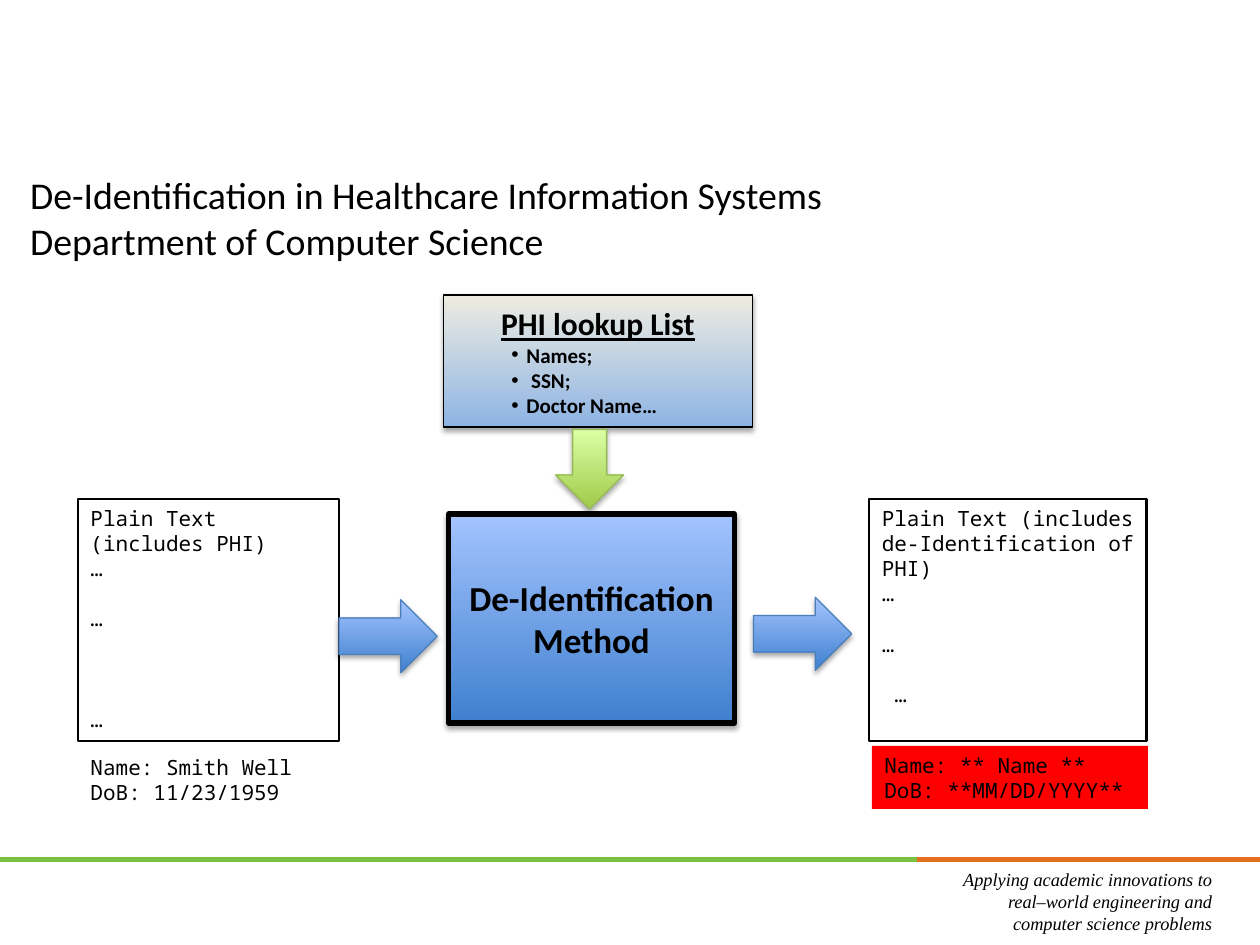
from lxml.etree import SubElement
from pptx import Presentation
from pptx.dml.color import RGBColor
from pptx.enum.shapes import MSO_CONNECTOR, MSO_SHAPE
from pptx.enum.text import MSO_ANCHOR, PP_ALIGN
from pptx.oxml.ns import qn
from pptx.util import Inches, Pt

MONO, SANS, SERIF = "Noto Sans Mono", "Calibri", "Times New Roman"
BLACK = "000000"
BLUE = ("A4C4FF", "3F80CE")  # gradients run from top to bottom
GREEN = ("DAFFA5", "A0CA4A")
PALE = ("EEECE1", "8EB4E3")
MONO_LINE = 14.4  # height of one 12 pt line of the mono font, in points

TITLE = "De-Identification in Healthcare Information Systems\vDepartment of Computer Science"
TAGLINE = ("Applying academic innovations to real–world engineering "
           "and computer science problems")
LOOKUP_HEAD = "PHI lookup List"
LOOKUP_ITEMS = ["Names;", " SSN;", "Doctor Name…"]
METHOD = ["De-Identification", "Method"]

# box, then (text, empty lines above it)
DOCUMENTS = [
    ((0.62, 3.96, 2.07, 1.92),
     [("Plain Text (includes PHI)", 0), ("…", 0), ("…", 1), ("…", 3)]),
    ((6.9, 3.96, 2.2, 1.92),
     [("Plain Text (includes de-Identification of PHI)", 0),
      ("…", 0), ("…", 1), (" …", 1)]),
]
# box, fill, lines
RECORDS = [
    ((0.62, 5.94, 2.07, 0.5), None, ["Name: Smith Well", "DoB: 11/23/1959"]),
    ((6.92, 5.92, 2.19, 0.5), "FF0000", ["Name: ** Name **", "DoB: **MM/DD/YYYY**"]),
]
# shape, box, gradient, outline
ARROWS = [
    (MSO_SHAPE.DOWN_ARROW, (4.41, 3.41, 0.54, 0.63), GREEN, "98B955"),
    (MSO_SHAPE.RIGHT_ARROW, (2.69, 4.76, 0.78, 0.58), BLUE, "4B7EBC"),
    (MSO_SHAPE.RIGHT_ARROW, (5.98, 4.74, 0.78, 0.58), BLUE, "4B7EBC"),
]
# start x, end x, colour
FOOTER_RULES = [(0, 7.28, "7AC043"), (7.28, 10, "E46F1F")]
FOOTER_Y = 6.82


def rgb(color):
    return RGBColor.from_string(color)


def add_shadow(s):
    effects = s._element.spPr.find(qn("a:effectLst"))
    shadow = SubElement(effects, qn("a:outerShdw"), blurRad=str(Pt(3.1)),
                        dist=str(Pt(1.8)), dir="5400000", rotWithShape="0")
    color = SubElement(shadow, qn("a:srgbClr"), val=BLACK)
    SubElement(color, qn("a:alpha"), val="35000")


def add_shape(slide, kind, box, fill=None, line=None, width=0.75, shadow=False):
    """Add a shape; fill is a colour, a (top, bottom) gradient or None."""
    s = slide.shapes.add_shape(kind, *map(Inches, box))
    s.shadow.inherit = False
    if shadow:
        add_shadow(s)
    if fill is None:
        s.fill.background()
    elif isinstance(fill, str):
        s.fill.solid()
        s.fill.fore_color.rgb = rgb(fill)
    else:
        s.fill.gradient()
        s.fill.gradient_angle = 270
        for stop, color in zip(s.fill.gradient_stops, fill):
            stop.color.rgb = rgb(color)
    if line:
        s.line.color.rgb = rgb(line)
        s.line.width = Pt(width)
    else:
        s.line.fill.background()
    return s


def write(s, text, font=MONO, size=12, align=PP_ALIGN.LEFT, anchor=MSO_ANCHOR.TOP,
          bold=False, italic=False, underline=False, before=0, bullet=False):
    """Write one paragraph, after any that the shape already holds."""
    tf = s.text_frame
    tf.word_wrap = True
    tf.vertical_anchor = anchor
    p = tf.add_paragraph() if tf.text else tf.paragraphs[0]
    p.text = text
    p.alignment = align
    p.space_before = Pt(before)
    for r in p.runs:
        f = r.font
        f.name, f.size, f.color.rgb = font, Pt(size), rgb(BLACK)
        f.bold, f.italic, f.underline = bold, italic, underline
    if bullet:
        pPr = p._p.get_or_add_pPr()
        pPr.set("marL", str(Inches(0.56)))
        pPr.set("indent", str(Inches(-0.12)))
        SubElement(pPr, qn("a:buFont"), typeface="Arial")
        SubElement(pPr, qn("a:buChar"), char="•")


def add_text_box(slide, box, text, **style):
    write(slide.shapes.add_textbox(*map(Inches, box)), text, **style)


def add_rule(slide, x1, x2, color):
    c = slide.shapes.add_connector(MSO_CONNECTOR.STRAIGHT, Inches(x1), Inches(FOOTER_Y),
                                   Inches(x2), Inches(FOOTER_Y))
    c.line.color.rgb = rgb(color)
    c.line.width = Pt(3)
    SubElement(c._element.spPr, qn("a:effectLst"))


def main():
    prs = Presentation()
    prs.slide_width, prs.slide_height = Inches(10), Inches(7.5)
    slide = prs.slides.add_slide(prs.slide_layouts[6])
    rect, middle, center = MSO_SHAPE.RECTANGLE, MSO_ANCHOR.MIDDLE, PP_ALIGN.CENTER

    for rule in FOOTER_RULES:
        add_rule(slide, *rule)
    add_text_box(slide, (7.38, 6.84, 2.34, 0.63), TAGLINE, font=SERIF, size=10.5,
                 italic=True, align=PP_ALIGN.RIGHT)
    add_text_box(slide, (0.14, 1.28, 6.78, 0.89), TITLE, font=SANS, size=21.6,
                 anchor=middle)

    for box, lines in DOCUMENTS:
        s = add_shape(slide, rect, box, line=BLACK, width=1.25)
        for text, gap in lines:
            write(s, text, before=gap * MONO_LINE)

    method = add_shape(slide, rect, (3.56, 4.08, 2.27, 1.66), BLUE, BLACK, 3, shadow=True)
    for text in METHOD:
        write(method, text, font=SANS, size=20, bold=True, align=center, anchor=middle)

    lookup = add_shape(slide, rect, (3.52, 2.34, 2.45, 1.05), PALE, BLACK, shadow=True)
    write(lookup, LOOKUP_HEAD, font=SANS, size=18, bold=True, underline=True,
          align=center, anchor=middle)
    for text in LOOKUP_ITEMS:
        write(lookup, text, font=SANS, bold=True, anchor=middle, bullet=True)

    for kind, box, fill, line in ARROWS:
        add_shape(slide, kind, box, fill, line, shadow=True)

    for box, fill, lines in RECORDS:
        s = add_shape(slide, rect, box, fill)
        for text in lines:
            write(s, text)

    prs.save("out.pptx")


if __name__ == "__main__":
    main()
